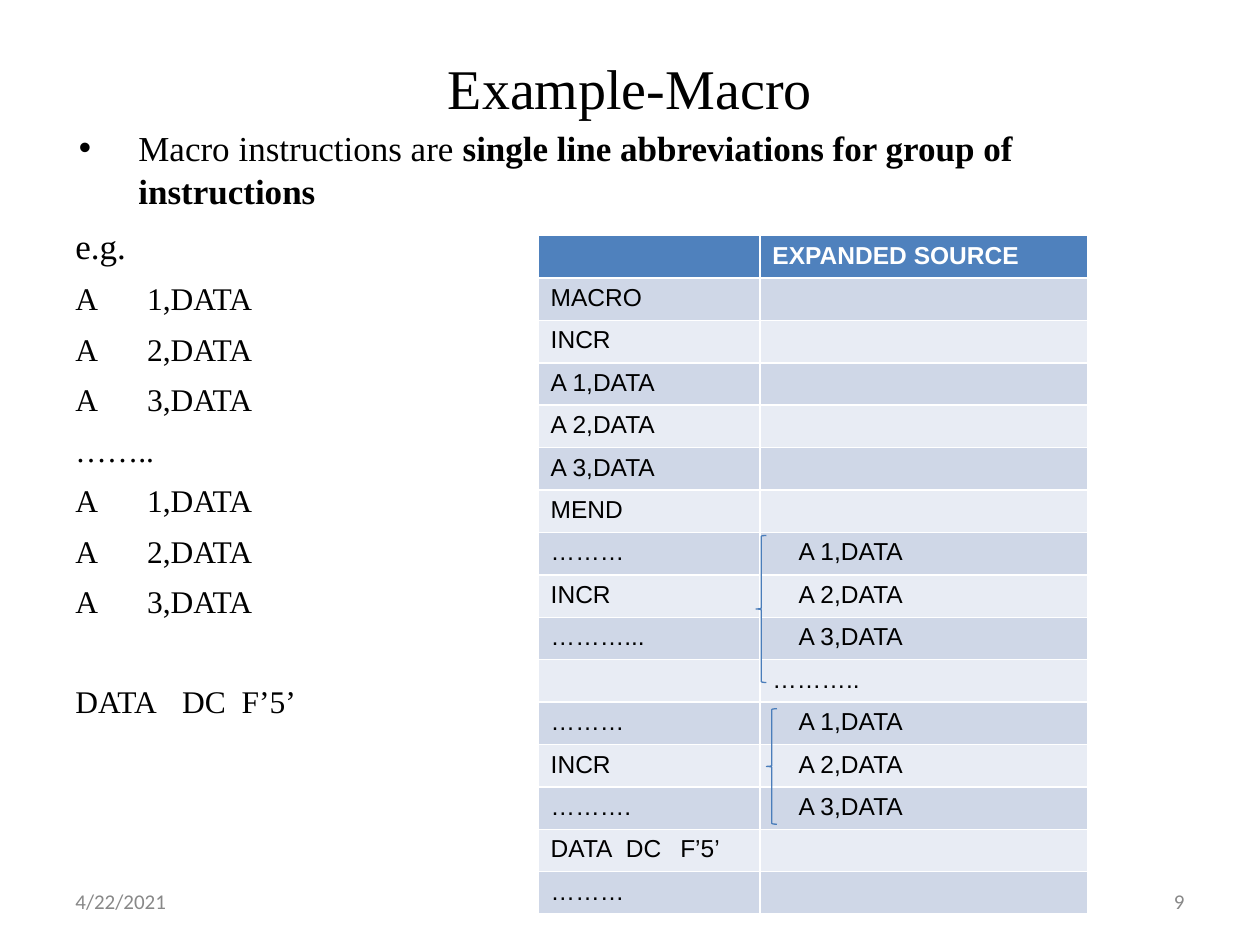
from dataclasses import dataclass

from lxml.etree import SubElement
from pptx import Presentation
from pptx.dml.color import RGBColor
from pptx.enum.shapes import MSO_SHAPE
from pptx.enum.text import MSO_ANCHOR, PP_ALIGN
from pptx.oxml.ns import qn
from pptx.util import Pt


@dataclass(frozen=True)
class Theme:
    serif: str = "Times New Roman"
    sans: str = "Arial"
    footer_font: str = "Calibri"
    ink: str = "000000"
    paper: str = "FFFFFF"
    muted: str = "888888"
    header: str = "4F81BD"
    bands: tuple = ("CFD7E7", "E8ECF4")
    brace: str = "4A7DBA"
    title_size: float = 32
    lead_size: float = 20
    code_size: float = 18
    cell_size: float = 14
    footer_size: float = 12


def style(paragraph, font, size, color, bold=None):
    paragraph.font.name = font
    paragraph.font.size = Pt(size)
    paragraph.font.color.rgb = RGBColor.from_string(color)
    paragraph.font.bold = bold


def set_indent(paragraph, left, first=0, bullet=None):
    properties = paragraph._p.get_or_add_pPr()
    properties.set("marL", str(Pt(left)))
    properties.set("indent", str(Pt(first)))
    if bullet:
        SubElement(properties, qn("a:buFont")).set("typeface", "Arial")
        SubElement(properties, qn("a:buChar")).set("char", bullet)


def set_tabs(paragraph, stops):
    tabs = SubElement(paragraph._p.get_or_add_pPr(), qn("a:tabLst"))
    for stop in stops:
        SubElement(tabs, qn("a:tab"), pos=str(Pt(stop)), algn="l")


class MacroSlide:
    def __init__(self, presentation, theme):
        self.theme = theme
        self.slide = presentation.slides.add_slide(presentation.slide_layouts[5])

    def title(self, text, left, top, width, height):
        heading = self.slide.shapes.title
        heading.left, heading.top = Pt(left), Pt(top)
        heading.width, heading.height = Pt(width), Pt(height)
        heading.text_frame.text = text
        heading.text_frame.vertical_anchor = MSO_ANCHOR.MIDDLE
        paragraph = heading.text_frame.paragraphs[0]
        paragraph.alignment = PP_ALIGN.CENTER
        style(paragraph, self.theme.serif, self.theme.title_size, self.theme.ink)

    def text_frame(self, left, top, width, height):
        box = self.slide.shapes.add_textbox(Pt(left), Pt(top), Pt(width), Pt(height))
        box.text_frame.word_wrap = True
        return box.text_frame

    def body(self, lead, emphasis, example, code, left, top, width, height):
        """Place a bulleted lead, then code lines given as (text, tab stops, space before)."""
        theme = self.theme
        frame = self.text_frame(left, top, width, height)
        statement = frame.paragraphs[0]
        statement.add_run().text = lead
        strong = statement.add_run()
        strong.text = emphasis
        strong.font.bold = True
        set_indent(statement, 36, -34, "•")
        style(statement, theme.serif, theme.lead_size, theme.ink)

        intro = frame.add_paragraph()
        intro.text = example
        style(intro, theme.serif, theme.lead_size, theme.ink)
        for text, stops, space in code:
            line = frame.add_paragraph()
            line.text = text
            line.space_before = Pt(space)
            style(line, theme.serif, theme.code_size, theme.ink)
            set_tabs(line, stops)
        for paragraph in frame.paragraphs:
            paragraph.line_spacing = 1.04
            if paragraph.space_before is None:
                paragraph.space_before = Pt(6.4)

    def footer(self, text, left, align):
        frame = self.text_frame(left, 500.5, 168, 28.75)
        frame.vertical_anchor = MSO_ANCHOR.MIDDLE
        paragraph = frame.paragraphs[0]
        paragraph.text = text
        paragraph.alignment = align
        style(paragraph, self.theme.footer_font, self.theme.footer_size, self.theme.muted)

    def table(self, rows, left, top, widths, row_height):
        grid = self.slide.shapes.add_table(
            len(rows), len(widths), Pt(left), Pt(top),
            Pt(sum(widths)), Pt(row_height * len(rows))).table
        for column, width in zip(grid.columns, widths):
            column.width = Pt(width)
        for r, row in enumerate(rows):
            grid.rows[r].height = Pt(row_height)
            for c, text in enumerate(row):
                self.cell(grid.cell(r, c), text, r, c)

    def cell(self, cell, text, row, column):
        theme = self.theme
        is_header = row == 0
        fill = theme.header if is_header else theme.bands[(row - 1) % 2]
        cell.fill.solid()
        cell.fill.fore_color.rgb = RGBColor.from_string(fill)
        paragraph = cell.text_frame.paragraphs[0]
        paragraph.text = text
        style(paragraph, theme.sans, theme.cell_size,
              theme.paper if is_header else theme.ink, is_header)
        if not text:  # an empty cell would otherwise stretch its row
            SubElement(paragraph._p, qn("a:endParaRPr")).set("sz", str(theme.cell_size * 100))
        if "\t" in text:
            set_tabs(paragraph, (43, 74))
        if column == 1 and text.startswith("A "):
            set_indent(paragraph, 15)

    def brace(self, left, top, height):
        brace = self.slide.shapes.add_shape(
            MSO_SHAPE.LEFT_BRACE, Pt(left), Pt(top), Pt(6), Pt(height))
        brace.shadow.inherit = False
        brace.fill.background()
        brace.line.color.rgb = RGBColor.from_string(self.theme.brace)
        brace.line.width = Pt(0.75)


def main():
    presentation = Presentation()
    presentation.slide_width, presentation.slide_height = Pt(720), Pt(540)
    page = MacroSlide(presentation, Theme())

    operands = [f"{register},DATA" for register in (1, 2, 3)]
    additions = [(f"A\t{operand}", (41,), 6.4) for operand in operands]
    code = [*additions, ("……..", (), 6.4), *additions,
            ("DATA\tDC\tF’5’", (61, 95), 34.4)]
    first, second, third = (f"A {operand}" for operand in operands)
    expansion = [
        ("", "EXPANDED SOURCE"),
        *((source, "") for source in ("MACRO", "INCR", first, second, third, "MEND")),
        ("………", first), ("INCR", second), ("………...", third),
        ("", "……….."),
        ("………", first), ("INCR", second), ("……….", third),
        ("DATA\tDC\tF’5’", ""),
        ("………", ""),
    ]

    page.title("Example-Macro", 36, 21.6, 648, 56)
    page.body("Macro instructions are ",
              "single line abbreviations for group of instructions",
              "e.g.", code, 36, 67.7, 648, 520.5)
    page.footer("4/22/2021", 36, PP_ALIGN.LEFT)
    page.footer("9", 516, PP_ALIGN.RIGHT)
    page.table(expansion, 307.5, 134.6, (126.7, 187.2), 24.25)
    page.brace(432, 306, 84)
    page.brace(438, 405, 66)
    presentation.save("out.pptx")


if __name__ == "__main__":
    main()
